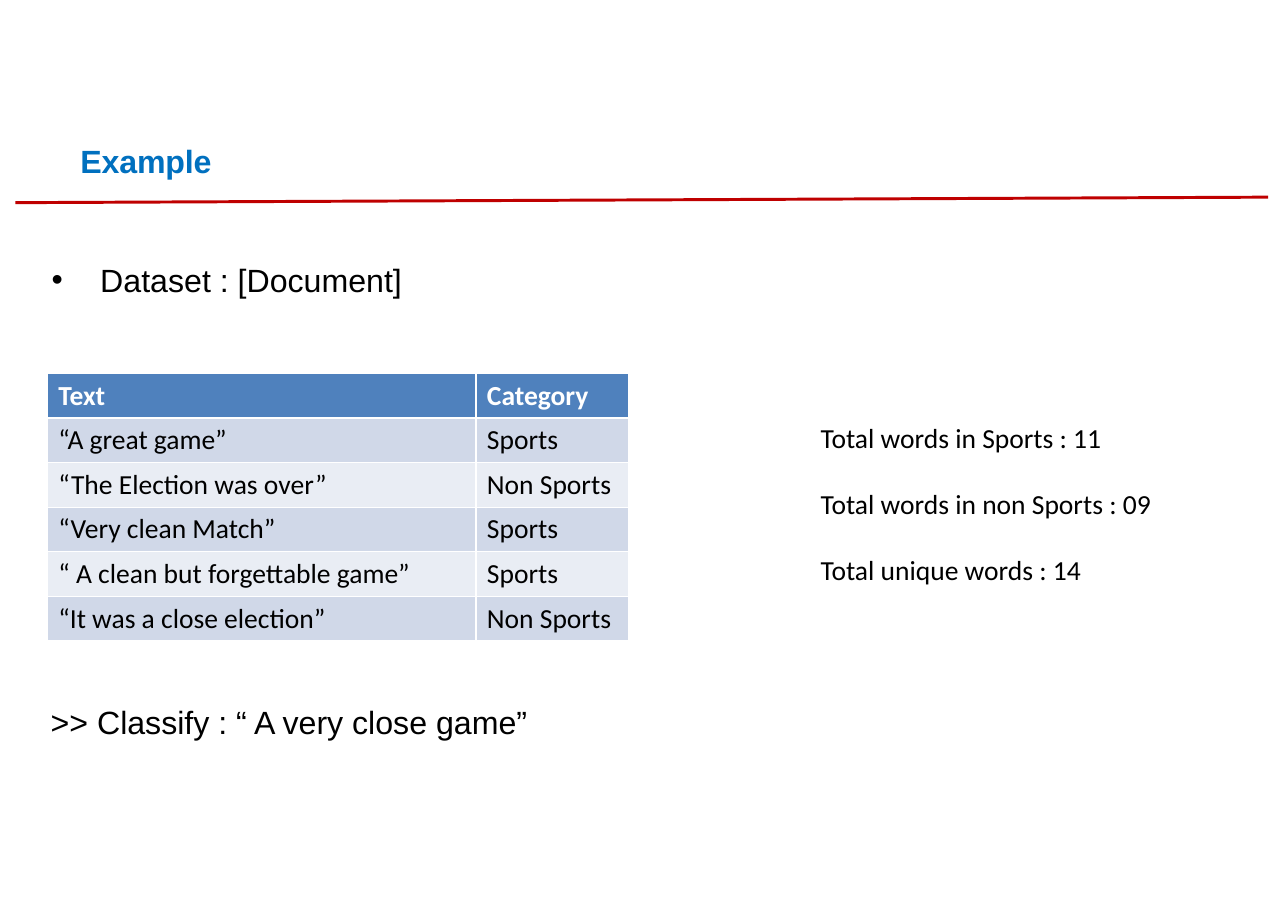
from lxml import etree
from pptx import Presentation, util as u
from pptx.dml.color import RGBColor
from pptx.enum import shapes, text
from pptx.oxml.ns import qn


def tint(code):
    return RGBColor.from_string(code)


def write(para, words, face, size, code="000000", bold=False):
    run = para.add_run()
    run.text = words
    run.font.name = face
    run.font.size = u.Pt(size)
    run.font.bold = bold
    run.font.color.rgb = tint(code)
    return run


deck = Presentation()
deck.slide_width = u.Inches(11.69)
deck.slide_height = u.Inches(8.27)
slide = deck.slides.add_slide(deck.slide_layouts[5])

rule = slide.shapes.add_connector(
    shapes.MSO_CONNECTOR.STRAIGHT,
    u.Inches(0.14), u.Inches(1.84), u.Inches(11.51), u.Inches(1.79))
rule.line.color.rgb = tint("BF0000")
rule.line.width = u.Pt(1.92)
etree.SubElement(rule._element.spPr, qn("a:effectLst"))

title = slide.shapes.title
title.left, title.top = u.Inches(0.73), u.Inches(1.26)
title.width, title.height = u.Inches(3.54), u.Inches(0.37)
body = slide.shapes.add_textbox(
    u.Inches(0.46), u.Inches(2.34), u.Inches(10.85), u.Inches(4.41))
for box in (title, body):
    frame = box.text_frame
    frame.word_wrap = True
    frame.vertical_anchor = text.MSO_ANCHOR.TOP
    frame.margin_left = frame.margin_right = frame.margin_bottom = 0
    frame.margin_top = u.Inches(0.02)

head = title.text_frame.paragraphs[0]
head.alignment = text.PP_ALIGN.LEFT
name = write(head, "Example", "Arial", 21, "0070BF", True)
name.font._element.set("spc", "-10")

data = body.text_frame.paragraphs[0]
props = data._p.get_or_add_pPr()
props.set("marL", str(u.Inches(0.45)))
props.set("indent", str(u.Inches(-0.44)))
etree.SubElement(props, qn("a:buFont"), typeface="Arial")
etree.SubElement(props, qn("a:buChar"), char="•")
write(data, "Dataset : [Document]", "Arial", 21)
task = body.text_frame.add_paragraph()
task.space_before = u.Pt(264)
write(task, ">> Classify : “ A very close game”", "Arial", 21)

rows = [
    ("Text", "Category"),
    ("“A great game”", "Sports"),
    ("“The Election was over”", "Non Sports"),
    ("“Very clean Match”", "Sports"),
    ("“ A clean but forgettable game”", "Sports"),
    ("“It was a close election”", "Non Sports"),
]
grid = slide.shapes.add_table(
    len(rows), 2, u.Inches(0.43), u.Inches(3.39),
    u.Inches(5.28), u.Inches(2.43)).table
grid.columns[0].width = u.Inches(3.89)
grid.columns[1].width = u.Inches(1.39)
for r, row in enumerate(rows):
    top = r == 0
    shade = "4F81BD" if top else ("E9EDF4", "D0D8E8")[r % 2]
    for c, words in enumerate(row):
        cell = grid.cell(r, c)
        cell.fill.solid()
        cell.fill.fore_color.rgb = tint(shade)
        write(cell.text_frame.paragraphs[0], words, "Calibri", 18,
              "FFFFFF" if top else "000000", top)

sums = slide.shapes.add_textbox(
    u.Inches(7.35), u.Inches(3.77), u.Inches(3.24), u.Inches(1.62))
frame = sums.text_frame
frame.word_wrap = False
totals = ["Total words in Sports : 11", "Total words in non Sports : 09",
          "Total unique words : 14"]
for i, words in enumerate(totals):
    para = frame.add_paragraph() if i else frame.paragraphs[0]
    if i:
        para.space_before = u.Pt(21.6)
    write(para, words, "Calibri", 18)

deck.save("out.pptx")
